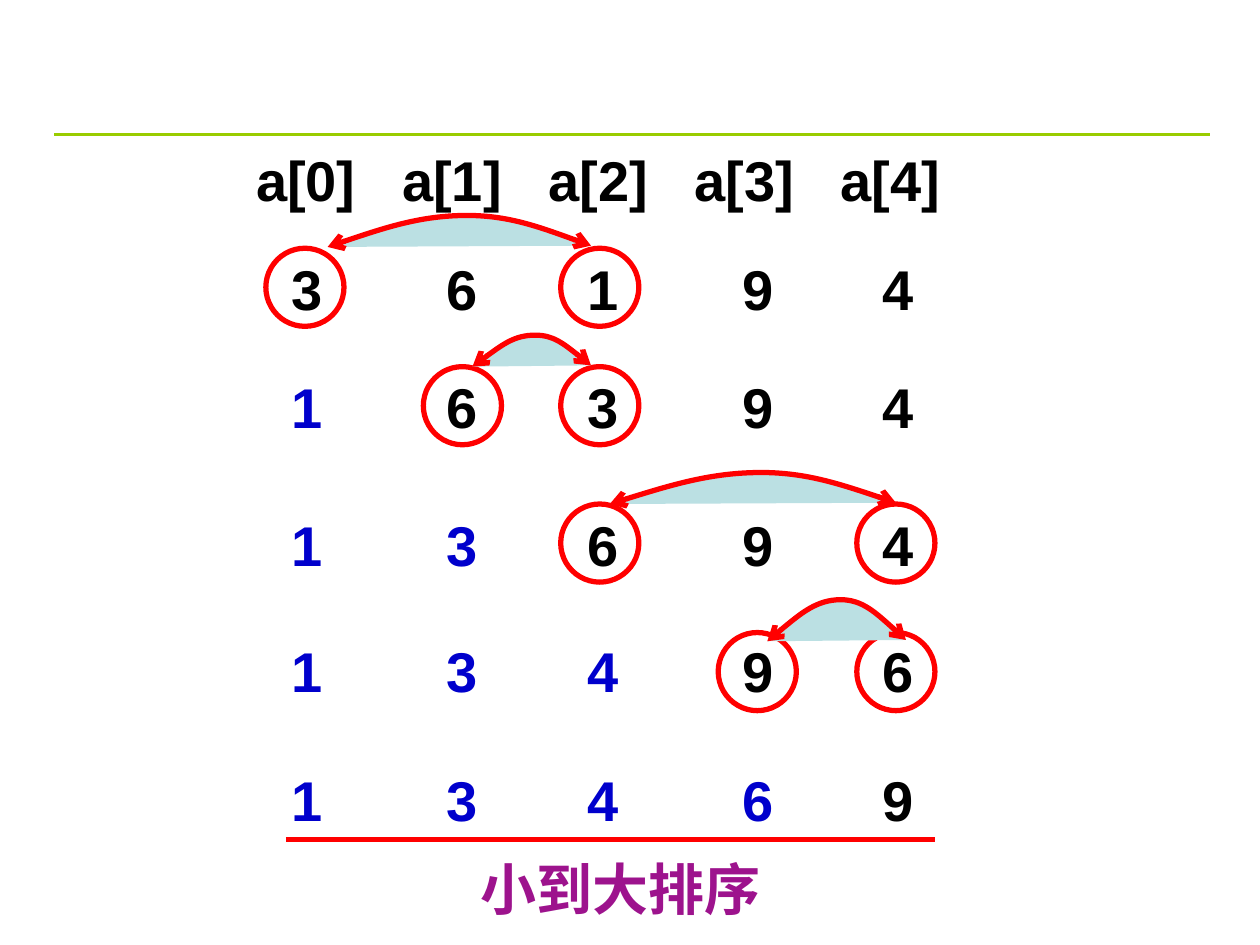
from dataclasses import dataclass

from lxml import etree
from pptx import Presentation
from pptx.dml.color import RGBColor
from pptx.enum.shapes import MSO_CONNECTOR as Connector, MSO_SHAPE as Shape
from pptx.enum.text import MSO_AUTO_SIZE as AutoSize, PP_ALIGN as Align
from pptx.oxml.ns import qn
from pptx.util import Inches, Pt


@dataclass(frozen=True)
class Theme:
    font: str = "Arial"
    size: int = 32
    stroke: float = 3
    rule_stroke: float = 1.5
    text: str = "000000"
    sorted: str = "0000CC"
    mark: str = "FF0000"
    arc: str = "BBE0E3"
    rule: str = "99CC00"
    caption: str = "9D138D"


@dataclass(frozen=True)
class Arc:
    left: float
    right: float
    bottom: float
    height: float = 0.25


@dataclass(frozen=True)
class Step:
    top: float
    values: tuple[int, ...]
    sorted_count: int
    circled: tuple[int, ...] = ()
    circle_top: float = 0
    arc: Arc | None = None


THEME = Theme()
ROW_LEFT, ROW_WIDTH, ROW_HEIGHT, INSET = 1.48, 6.56, 0.64, 0.1
CIRCLE = 0.62
CIRCLE_LEFTS = (2.11, 3.36, 4.45, 5.7, 6.8)
VALUE_CENTRES = (2.44, 3.67, 4.79, 6.02, 7.13)
LABEL_CENTRES = tuple(2.43 + 1.16 * index for index in range(5))
PEAK = 0.53  # share of an arc's width that lies left of its top

STEPS = (
    Step(1.97, (3, 6, 1, 9, 4), 0, (0, 2), 1.97, Arc(2.6, 4.69, 1.96)),
    Step(2.91, (1, 6, 3, 9, 4), 1, (1, 2), 2.91, Arc(3.75, 4.69, 2.91)),
    Step(4, (1, 3, 6, 9, 4), 2, (2, 4), 4, Arc(4.84, 7.11, 4)),
    Step(5, (1, 3, 4, 9, 6), 3, (3, 4), 5.02, Arc(6.09, 7.19, 5.09, 0.33)),
    Step(6.03, (1, 3, 4, 6, 9), 4),
)


def color(value: str) -> RGBColor:
    return RGBColor.from_string(value)


def add_text(page, left: float, top: float, width: float,
             parts: list[tuple[str, str]], centres: tuple[float, ...] = ()) -> None:
    """Add one line of coloured parts, centred or set on centred tab stops."""
    box = page.shapes.add_textbox(Inches(left), Inches(top), Inches(width), Inches(ROW_HEIGHT))
    frame = box.text_frame
    frame.word_wrap = True
    frame.auto_size = AutoSize.SHAPE_TO_FIT_TEXT
    para = frame.paragraphs[0]
    para.text = parts[0][0]
    for words, _ in parts[1:]:
        para.add_run().text = words
    if centres:
        para.alignment = Align.LEFT
        tabs = etree.SubElement(para._p.get_or_add_pPr(), qn("a:tabLst"))
        for centre in centres:
            position = Inches(centre - left - INSET)
            etree.SubElement(tabs, qn("a:tab"), pos=str(position), algn="ctr")
    else:
        para.alignment = Align.CENTER
    for span, (_, shade) in zip(para.runs, parts):
        span.font.name = THEME.font
        span.font.size = Pt(THEME.size)
        span.font.bold = True
        span.font.color.rgb = color(shade)


def add_line(page, left: float, right: float, y: float, shade: str, stroke: float) -> None:
    line = page.shapes.add_connector(
        Connector.STRAIGHT, Inches(left), Inches(y), Inches(right), Inches(y))
    line.line.color.rgb = color(shade)
    line.line.width = Pt(stroke)
    etree.SubElement(line._element.spPr, qn("a:effectLst"))


def outline(shape) -> None:
    shape.shadow.inherit = False
    shape.line.color.rgb = color(THEME.mark)
    shape.line.width = Pt(THEME.stroke)


def add_circle(page, left: float, top: float) -> None:
    circle = page.shapes.add_shape(
        Shape.OVAL, Inches(left), Inches(top), Inches(CIRCLE), Inches(CIRCLE))
    circle.fill.background()
    outline(circle)


def add_arc(page, arc: Arc) -> None:
    """Draw a swap arc: two cubic curves that meet at the peak."""
    width, height = Inches(arc.right - arc.left), Inches(arc.height)
    peak, end_y = int(width * PEAK), height - Inches(0.01)
    left, top = Inches(arc.left), Inches(arc.bottom - arc.height)
    builder = page.shapes.build_freeform(left, top + height)
    builder.add_line_segments([(left + peak, top), (left + width, top + end_y)], close=False)
    shape = builder.convert_to_shape()

    # Bend the two straight segments
    rest = width - peak
    curves = (
        ((peak // 3, height // 2), (peak * 2 // 3, 0), (peak, 0)),
        ((peak + rest // 3, 0), (peak + rest * 2 // 3, end_y // 2), (width, end_y)),
    )
    for segment, points in zip(shape._element.xpath(".//a:lnTo"), curves):
        curve = etree.Element(qn("a:cubicBezTo"))
        for x, y in points:
            etree.SubElement(curve, qn("a:pt"), x=str(x), y=str(y))
        segment.getparent().replace(segment, curve)

    shape.fill.solid()
    shape.fill.fore_color.rgb = color(THEME.arc)
    outline(shape)
    stroke = shape._element.spPr.find(qn("a:ln"))
    for end in ("a:headEnd", "a:tailEnd"):
        etree.SubElement(stroke, qn(end), type="arrow")


def tabbed(values) -> str:
    return "".join(f"\t{value}" for value in values)


def add_step(page, step: Step) -> None:
    done, pending = step.values[:step.sorted_count], step.values[step.sorted_count:]
    parts = [(tabbed(done), THEME.sorted)] if done else []
    parts.append((tabbed(pending), THEME.text))
    add_text(page, ROW_LEFT, step.top, ROW_WIDTH, parts, VALUE_CENTRES)
    for column in step.circled:
        add_circle(page, CIRCLE_LEFTS[column], step.circle_top)
    if step.arc:
        add_arc(page, step.arc)


def main() -> None:
    deck = Presentation()
    deck.slide_width, deck.slide_height = Inches(10), Inches(7.5)
    page = deck.slides.add_slide(deck.slide_layouts[6])

    # Title rule and column labels
    add_line(page, 0.43, 9.6, 1.07, THEME.rule, THEME.rule_stroke)
    labels = tabbed(f"a[{index}]" for index in range(5))
    add_text(page, ROW_LEFT, 1.11, ROW_WIDTH, [(labels, THEME.text)], LABEL_CENTRES)

    # Sorting steps
    for step in STEPS:
        add_step(page, step)

    # Caption and result underline
    add_text(page, 2.97, 6.73, 3.91, [("小到大排序", THEME.caption)])
    add_line(page, 2.27, 7.42, 6.66, THEME.mark, THEME.stroke)

    deck.save("out.pptx")


if __name__ == "__main__":
    main()
